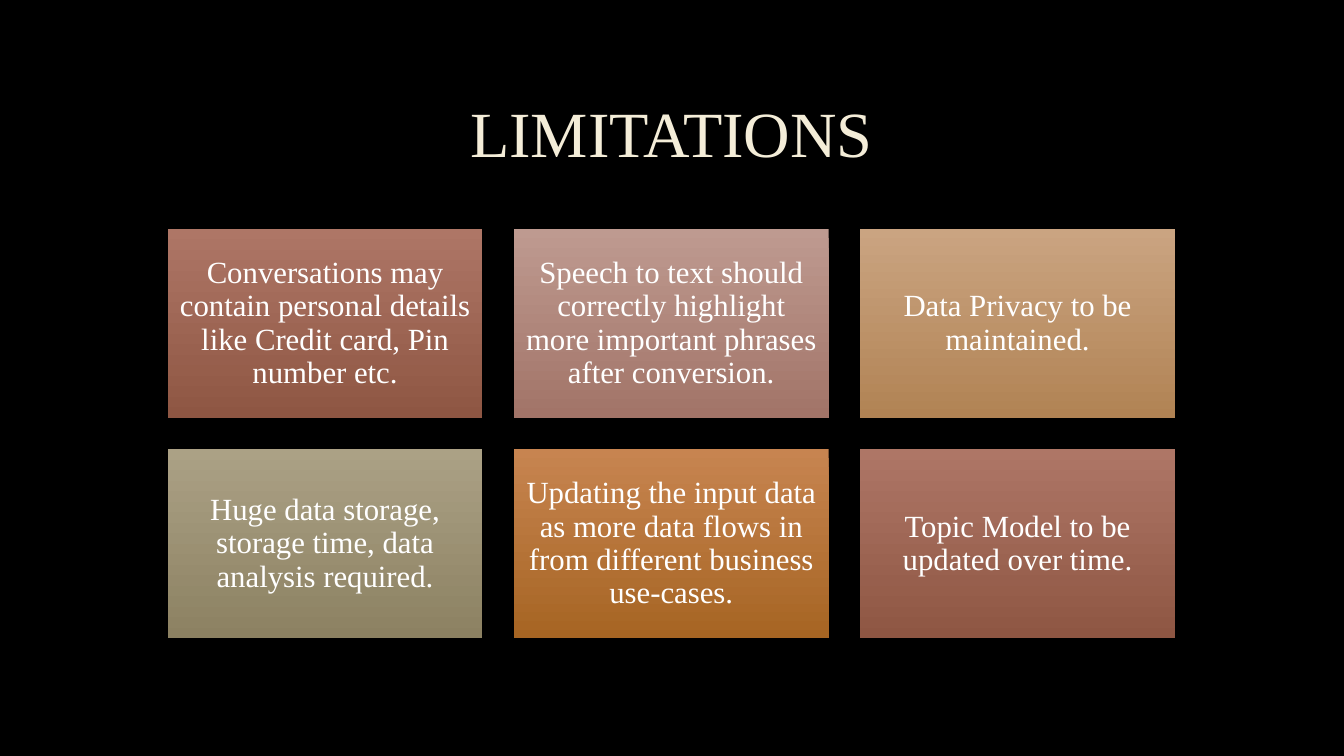
"""Build the slide on limitations, with six shaded cards in a grid."""
from dataclasses import dataclass

from pptx import Presentation
from pptx.dml.color import RGBColor
from pptx.enum.shapes import MSO_SHAPE
from pptx.enum.text import MSO_ANCHOR, PP_ALIGN
from pptx.slide import Slide
from pptx.text.text import TextFrame
from pptx.util import Pt

RECT = MSO_SHAPE.RECTANGLE
MIDDLE = MSO_ANCHOR.MIDDLE
CENTER = PP_ALIGN.CENTER
BLANK = 6


@dataclass(frozen=True)
class Theme:
    back: str = "000000"
    title: str = "F4EDD8"
    text: str = "FFFFFF"
    font: str = "Times New Roman"
    title_size: float = 46
    text_size: float = 22
    spacing: float = 0.9
    brick: tuple[str, str] = ("AE7666", "8E5643")
    rose: tuple[str, str] = ("BE9A90", "A27468")
    sand: tuple[str, str] = ("CAA481", "B18354")
    olive: tuple[str, str] = ("ABA185", "8C8162")
    amber: tuple[str, str] = ("C78450", "A66523")


@dataclass(frozen=True)
class Card:
    text: str
    shades: tuple[str, str]


@dataclass(frozen=True)
class Grid:
    left: float = 119.8
    top: float = 163.6
    width: float = 224.8
    height: float = 134.9
    gap: float = 22.5
    inset: float = 6.6
    columns: int = 3


THEME = Theme()
GRID = Grid()
CARDS = (
    Card("Conversations may contain personal details like Credit card, Pin number etc.", THEME.brick),
    Card("Speech to text should correctly highlight more important phrases after conversion.", THEME.rose),
    Card("Data Privacy to be maintained.", THEME.sand),
    Card("Huge data storage, storage time, data analysis required.", THEME.olive),
    Card("Updating the input data as more data flows in from different business use-cases.", THEME.amber),
    Card("Topic Model to be updated over time.", THEME.brick),
)


def write(frame: TextFrame, text: str, size: float, color: str) -> None:
    """Write one centred paragraph in the middle of a frame."""
    frame.word_wrap = True
    frame.vertical_anchor = MIDDLE
    para = frame.paragraphs[0]
    para.alignment = CENTER
    para.line_spacing = THEME.spacing
    run = para.add_run()
    run.text = text
    run.font.name = THEME.font
    run.font.size = Pt(size)
    run.font.color.rgb = RGBColor.from_string(color)


def add_title(slide: Slide, text: str) -> None:
    """Add the heading."""
    box = slide.shapes.add_textbox(Pt(72), Pt(48), Pt(815), Pt(99.4))
    write(box.text_frame, text, THEME.title_size, THEME.title)


def add_card(slide: Slide, card: Card, index: int) -> None:
    """Add one shaded card at its place in the grid."""
    row, column = divmod(index, GRID.columns)
    left = GRID.left + column * (GRID.width + GRID.gap)
    top = GRID.top + row * (GRID.height + GRID.gap)
    shape = slide.shapes.add_shape(RECT, Pt(left), Pt(top), Pt(GRID.width), Pt(GRID.height))
    shape.shadow.inherit = False
    shape.line.fill.background()
    shape.fill.gradient()
    shape.fill.gradient_angle = 270
    for stop, shade in zip(shape.fill.gradient_stops, card.shades):
        stop.color.rgb = RGBColor.from_string(shade)
    frame = shape.text_frame
    frame.margin_left = frame.margin_right = Pt(GRID.inset)
    frame.margin_top = frame.margin_bottom = Pt(GRID.inset)
    write(frame, card.text, THEME.text_size, THEME.text)


def main() -> None:
    """Build and save the deck."""
    deck = Presentation()
    deck.slide_width, deck.slide_height = Pt(960), Pt(540)
    slide = deck.slides.add_slide(deck.slide_layouts[BLANK])
    fill = slide.background.fill
    fill.solid()
    fill.fore_color.rgb = RGBColor.from_string(THEME.back)
    add_title(slide, "LIMITATIONS")
    for index, card in enumerate(CARDS):
        add_card(slide, card, index)
    deck.save("out.pptx")


if __name__ == "__main__":
    main()
